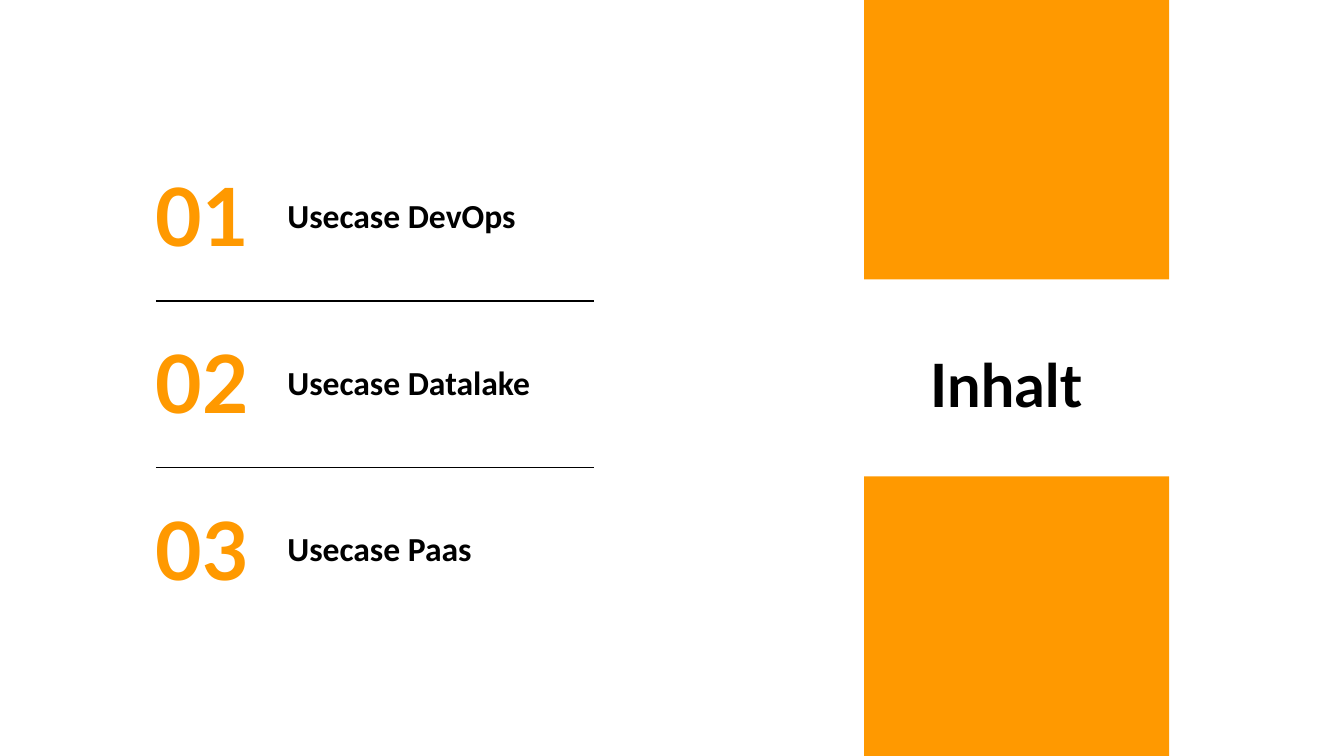
from lxml.etree import SubElement
from pptx import Presentation
from pptx.dml.color import RGBColor
from pptx.enum.shapes import MSO_CONNECTOR, MSO_SHAPE
from pptx.enum.text import MSO_ANCHOR, PP_ALIGN
from pptx.oxml.ns import qn
from pptx.util import Inches, Pt

ORANGE = "FF9900"
BLACK = "000000"
HEADING_FONT = "Lato"
BODY_FONT = "Calibri"
SLIDE_WIDTH = 10
SLIDE_HEIGHT = SLIDE_WIDTH * 9 / 16


def color(hex_value):
    return RGBColor.from_string(hex_value)


class AgendaSlide:
    def __init__(self, presentation):
        self.slide = presentation.slides.add_slide(presentation.slide_layouts[6])

    def block(self, left, top, width, height):
        shape = self.slide.shapes.add_shape(
            MSO_SHAPE.RECTANGLE, Inches(left), Inches(top), Inches(width), Inches(height))
        shape.shadow.inherit = False
        shape.fill.solid()
        shape.fill.fore_color.rgb = color(ORANGE)
        shape.line.fill.background()

    def text(self, content, left, top, width, height, size, font=HEADING_FONT,
             hex_color=BLACK, align=PP_ALIGN.RIGHT, anchor=MSO_ANCHOR.TOP, spacing=0.8):
        box = self.slide.shapes.add_textbox(
            Inches(left), Inches(top), Inches(width), Inches(height))
        frame = box.text_frame
        frame.text = content
        frame.word_wrap = True
        frame.vertical_anchor = anchor
        frame.margin_left = frame.margin_right = Inches(0.1)
        frame.margin_top = frame.margin_bottom = Inches(0.1)
        paragraph = frame.paragraphs[0]
        paragraph.alignment = align
        paragraph.line_spacing = spacing
        run_font = paragraph.runs[0].font
        run_font.name = font
        run_font.size = Pt(size)
        run_font.bold = True
        run_font.color.rgb = color(hex_color)

    def divider(self, left, right, top):
        line = self.slide.shapes.add_connector(
            MSO_CONNECTOR.STRAIGHT, Inches(left), Inches(top), Inches(right), Inches(top))
        line.line.color.rgb = color(BLACK)
        line.line.width = Pt(0.75)
        SubElement(line._element.spPr, qn("a:effectLst"))


def main():
    presentation = Presentation()
    presentation.slide_width = Inches(SLIDE_WIDTH)
    presentation.slide_height = Inches(SLIDE_HEIGHT)
    agenda = AgendaSlide(presentation)

    # Orange blocks at the top and bottom edges
    block_height = 2.08
    for top in (0, SLIDE_HEIGHT - block_height):
        agenda.block(6.43, top, 2.27, block_height)

    # Slide title
    agenda.text("Inhalt", 6.45, 2.59, 1.7, 0.76, 32)

    # Numbered entries with a divider between neighbours
    entries = ["Usecase DevOps", "Usecase Datalake", "Usecase Paas"]
    first_top, pitch = 1.35, 1.24
    for index, entry in enumerate(entries):
        top = first_top + index * pitch
        agenda.text(entry, 2.04, top, 3.47, 0.43, 18, font=BODY_FONT,
                    align=PP_ALIGN.LEFT, spacing=1.0)
        agenda.text(f"{index + 1:02d}", 0.95, top, 1, 0.63, 43,
                    hex_color=ORANGE, anchor=MSO_ANCHOR.MIDDLE)
        if index < len(entries) - 1:
            agenda.divider(1.16, 4.42, top + 0.89)

    presentation.save("out.pptx")


if __name__ == "__main__":
    main()
